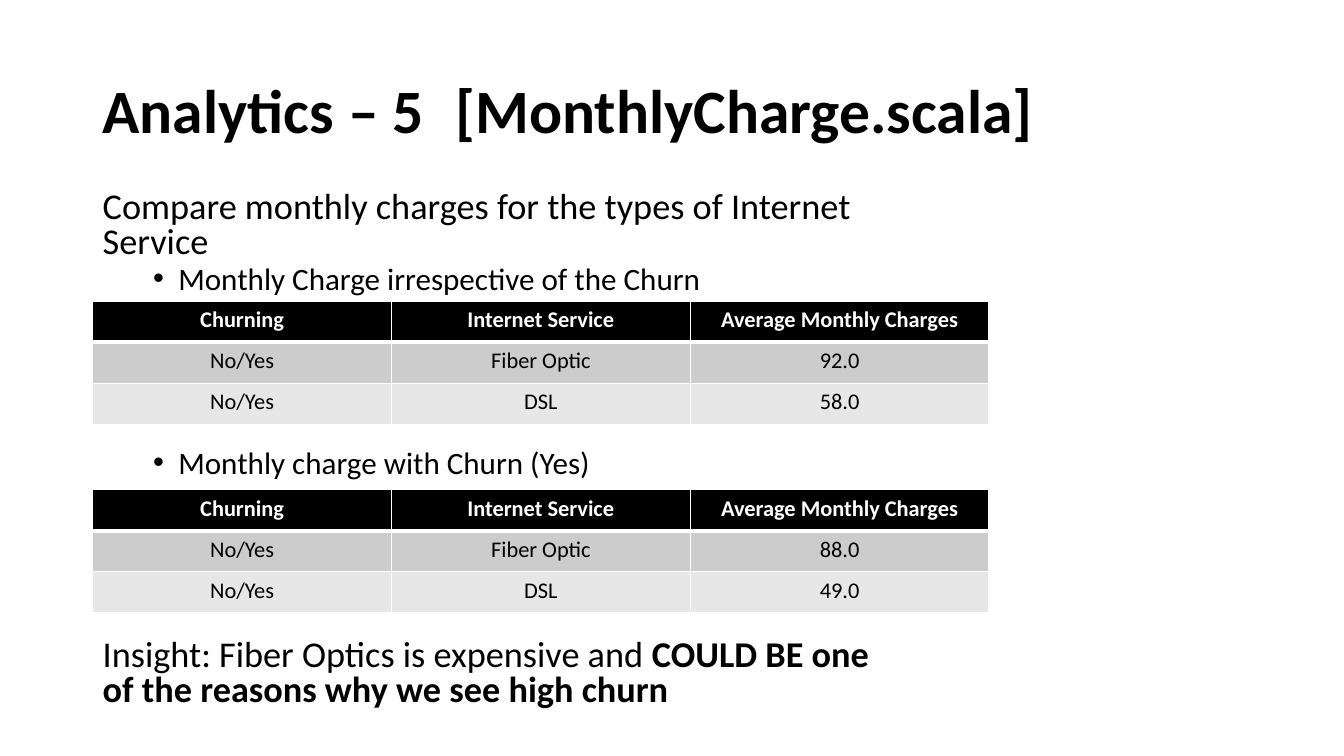
from dataclasses import dataclass

from lxml.etree import SubElement
from pptx import Presentation
from pptx.dml.color import RGBColor
from pptx.enum.text import MSO_ANCHOR as Anchor, PP_ALIGN as Align
from pptx.oxml.ns import qn
from pptx.util import Inches, Pt

TITLE = "Analytics – 5\t[MonthlyCharge.scala]"

# Each paragraph: space before in points, bulleted, runs as (text, bold)
BODY = [
    (10, False, [("Compare monthly charges for the types of Internet Service", False)]),
    (4, True, [("Monthly Charge irrespective of the Churn", False)]),
    (110, True, [("Monthly charge with Churn (Yes)", False)]),
    (114, False, [
        ("Insight: Fiber Optics is expensive and ", False),
        ("COULD BE one of the reasons why we see high churn", True),
    ]),
]

HEADER = ("Churning", "Internet Service", "Average Monthly Charges")
TABLES = [
    (2.99, [("No/Yes", "Fiber Optic", "92.0"), ("No/Yes", "DSL", "58.0")]),
    (4.86, [("No/Yes", "Fiber Optic", "88.0"), ("No/Yes", "DSL", "49.0")]),
]

LEFT = 0.92
TITLE_BOX = (LEFT, 0.4, 11.5, 1.45)
BODY_BOX = (LEFT, 1.85, 8.18, 5.42)
TABLE_WIDTH = 8.89
ROW_HEIGHT = 0.406
BULLET_MARGIN, BULLET_HANG = 0.75, 0.25


@dataclass(frozen=True)
class Theme:
    font: str = "Calibri"
    ink: str = "000000"
    paper: str = "FFFFFF"
    row_fills: tuple = ("000000", "CCCCCC", "E7E7E7")
    title_size: float = 44
    body_size: float = 25.9
    bullet_size: float = 22.2
    table_size: float = 16
    border: float = 1
    header_rule: float = 3


THEME = Theme()


def add_run(paragraph, text, size, color, bold):
    run = paragraph.add_run()
    run.text = text
    formats = {"name": THEME.font, "size": Pt(size), "bold": bold}
    for name, value in formats.items():
        setattr(run.font, name, value)
    run.font.color.rgb = RGBColor.from_string(color)


def add_text_frame(slide, box, anchor):
    frame = slide.shapes.add_textbox(*map(Inches, box)).text_frame
    frame.word_wrap = True
    frame.vertical_anchor = anchor
    return frame


def add_bullet(paragraph):
    properties = paragraph._p.get_or_add_pPr()
    properties.set("marL", str(Inches(BULLET_MARGIN)))
    properties.set("indent", str(-Inches(BULLET_HANG)))
    SubElement(properties, qn("a:buFont"), typeface="Arial")
    SubElement(properties, qn("a:buChar"), char="•")


def add_title(slide):
    paragraph = add_text_frame(slide, TITLE_BOX, Anchor.MIDDLE).paragraphs[0]
    paragraph.line_spacing = 0.9
    add_run(paragraph, TITLE, THEME.title_size, THEME.ink, True)


def add_body(slide):
    frame = add_text_frame(slide, BODY_BOX, Anchor.TOP)
    for index, (space_before, bulleted, runs) in enumerate(BODY):
        paragraph = frame.add_paragraph() if index else frame.paragraphs[0]
        paragraph.line_spacing = 0.8
        paragraph.space_before = Pt(space_before)
        if bulleted:
            add_bullet(paragraph)
        size = THEME.bullet_size if bulleted else THEME.body_size
        for text, bold in runs:
            add_run(paragraph, text, size, THEME.ink, bold)


def add_borders(cell, top, bottom):
    properties = cell._tc.get_or_add_tcPr()
    widths = {"L": THEME.border, "R": THEME.border, "T": top, "B": bottom}
    for side, width in widths.items():
        line = SubElement(properties, qn(f"a:ln{side}"), w=str(Pt(width)))
        fill = SubElement(line, qn("a:solidFill"))
        SubElement(fill, qn("a:srgbClr"), val=THEME.paper)


def add_charges_table(slide, top, records):
    rows = [HEADER, *records]
    table = slide.shapes.add_table(
        len(rows), len(HEADER), Inches(LEFT), Inches(top),
        Inches(TABLE_WIDTH), Inches(ROW_HEIGHT * len(rows)),
    ).table
    table.horz_banding = False
    for row_index, row in enumerate(rows):
        is_header = row_index == 0
        color = THEME.paper if is_header else THEME.ink
        rule_above = THEME.header_rule if row_index == 1 else THEME.border
        rule_below = THEME.header_rule if is_header else THEME.border
        for column_index, text in enumerate(row):
            cell = table.cell(row_index, column_index)
            add_borders(cell, rule_above, rule_below)
            cell.fill.solid()
            cell.fill.fore_color.rgb = RGBColor.from_string(THEME.row_fills[row_index])
            paragraph = cell.text_frame.paragraphs[0]
            paragraph.alignment = Align.CENTER
            add_run(paragraph, text, THEME.table_size, color, is_header)


def main():
    presentation = Presentation()
    presentation.slide_width = Inches(13.33)
    presentation.slide_height = Inches(7.5)
    slide = presentation.slides.add_slide(presentation.slide_layouts[6])
    add_title(slide)
    add_body(slide)
    for top, records in TABLES:
        add_charges_table(slide, top, records)
    presentation.save("out.pptx")


if __name__ == "__main__":
    main()
